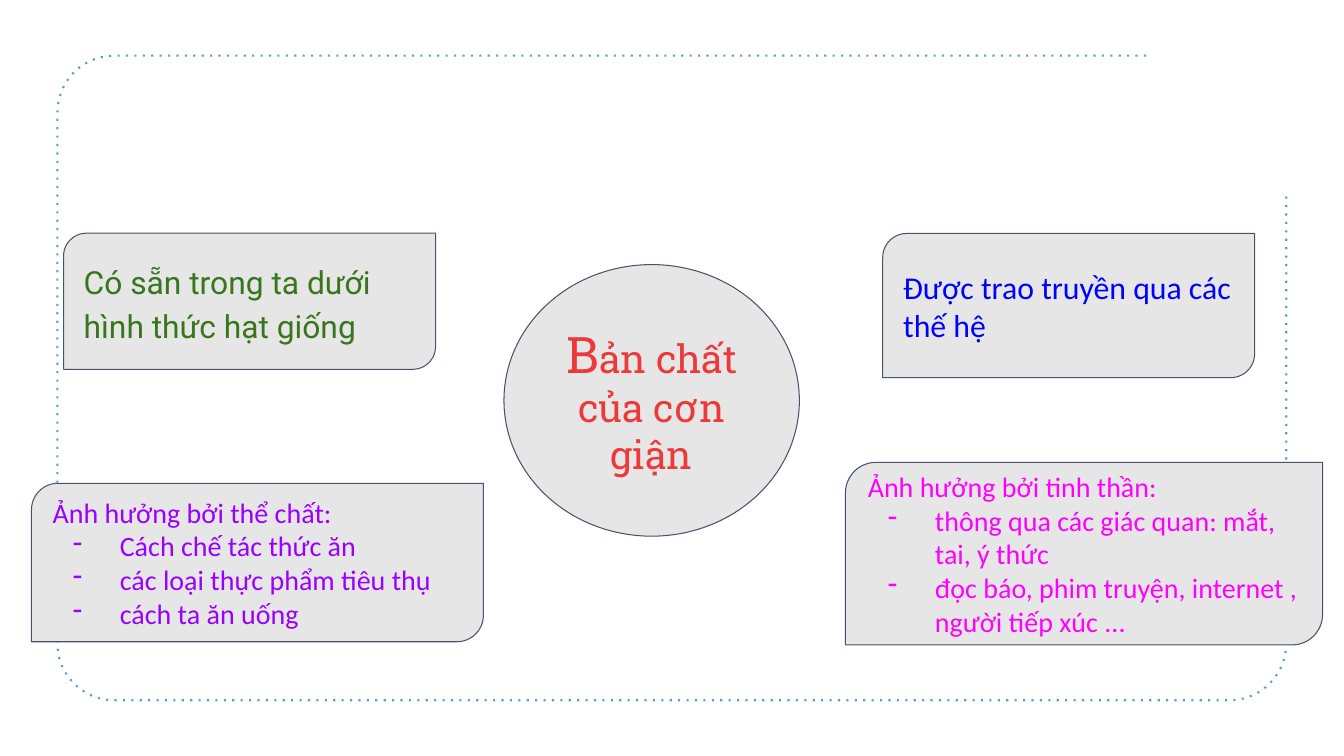
import math

import pptx
import pptx.dml.color
import pptx.enum.shapes
import pptx.enum.text
import pptx.oxml.ns
import pptx.util
from lxml import etree

Pt = pptx.util.Pt
RGB = pptx.dml.color.RGBColor
KIND = pptx.enum.shapes.MSO_SHAPE
ALIGN = pptx.enum.text.PP_ALIGN
qn = pptx.oxml.ns.qn

GREY = RGB(0xE7, 0xE6, 0xE6)
SLATE = RGB(0x44, 0x54, 0x6A)
SKY = RGB(0x5B, 0x9B, 0xD5)
RED = RGB(0xEC, 0x3A, 0x3B)
GREEN = RGB(0x38, 0x76, 0x1D)
BLUE = RGB(0x00, 0x00, 0xFF)
PURPLE = RGB(0x99, 0x00, 0xFF)
PINK = RGB(0xFF, 0x00, 0xFF)


def bend(x, y, radius, start):
    """Return points of a quarter turn that runs anticlockwise on screen."""
    angles = [math.radians(start + 7.5 * step) for step in range(13)]
    return [(Pt(x + radius * math.cos(a)), Pt(y - radius * math.sin(a))) for a in angles]


def add_frame(slide):
    """Draw the dotted outline that is open at its top right corner."""
    left, top, right, bottom, radius = 41, 39.8, 918.8, 500.2, 40.5
    points = bend(left + radius, top + radius, radius, 90)
    points += bend(left + radius, bottom - radius, radius, 180)
    points += bend(right - radius, bottom - radius, radius, 270)
    points.append((Pt(right), Pt(140.4)))
    pen = slide.shapes.build_freeform(Pt(818.6), Pt(top))
    pen.add_line_segments(points, close=False)
    frame = pen.convert_to_shape()
    frame.shadow.inherit = False
    frame.fill.background()
    frame.line.color.rgb = SKY
    frame.line.width = Pt(1.5)
    ln = frame._element.spPr.find(qn("a:ln"))
    etree.SubElement(ln, qn("a:prstDash"), val="dot")


def add_panel(slide, kind, box):
    """Add a grey outlined shape and return its text frame."""
    panel = slide.shapes.add_shape(kind, *map(Pt, box))
    panel.shadow.inherit = False
    panel.fill.solid()
    panel.fill.fore_color.rgb = GREY
    panel.line.color.rgb = SLATE
    panel.line.width = Pt(0.75)
    frame = panel.text_frame
    frame.word_wrap = True
    frame.vertical_anchor = pptx.enum.text.MSO_ANCHOR.MIDDLE
    frame.margin_left = frame.margin_right = Pt(9.6)
    frame.margin_top = frame.margin_bottom = Pt(9.6)
    return frame


def style(para, face, color, size=None):
    """Set the font of a paragraph."""
    para.font.name = face
    para.font.color.rgb = color
    if size:
        para.font.size = Pt(size)


def add_dash(para, color):
    """Give a paragraph a hanging dash bullet."""
    props = para._p.get_or_add_pPr()
    props.set("marL", str(Pt(48)))
    props.set("indent", str(Pt(-33.6)))
    tint = etree.SubElement(props, qn("a:buClr"))
    etree.SubElement(tint, qn("a:srgbClr"), val=str(color))
    etree.SubElement(props, qn("a:buChar"), char="-")


def add_card(slide, box, color, size, head, items=(), face="Calibri"):
    """Add a card with a heading and dashed items, and return its heading."""
    frame = add_panel(slide, KIND.ROUND_2_DIAG_RECTANGLE, box)
    first = frame.paragraphs[0]
    for index, text in enumerate([head, *items]):
        para = frame.add_paragraph() if index else first
        para.text = text
        para.alignment = ALIGN.LEFT
        if index:
            add_dash(para, color)
        style(para, face, color, size)
    return first


def add_hub(slide):
    """Add the central circle with its large initial letter."""
    para = add_panel(slide, KIND.OVAL, (360, 189, 211, 194)).paragraphs[0]
    para.alignment = ALIGN.CENTER
    for text, size in (("B", 36), ("ản chất của cơn giận", 28)):
        run = para.add_run()
        run.text = text
        run.font.size = Pt(size)
    style(para, "Roboto Slab", RED)


def main():
    """Build and save the slide."""
    deck = pptx.Presentation()
    deck.slide_width, deck.slide_height = Pt(960), Pt(540)
    slide = deck.slides.add_slide(deck.slide_layouts[6])
    add_frame(slide)
    add_hub(slide)
    seed = add_card(slide, (45.4, 166.6, 265.7, 97.2), GREEN, 22.7,
                    "Có sẵn trong ta dưới hình thức hạt giống", face="Roboto")
    seed.line_spacing = 1.15
    seed.space_after = Pt(16)
    add_card(slide, (630.5, 166.8, 265.7, 103), BLUE, 22.7,
             "Được trao truyền qua các thế hệ")
    add_card(slide, (22.5, 345.2, 322.8, 113.2), PURPLE, 20, "Ảnh hưởng bởi thể chất:",
             ("Cách chế tác thức ăn", "các loại thực phẩm tiêu thụ", "cách ta ăn uống"))
    add_card(slide, (603.9, 330.3, 340.8, 130.4), PINK, 20, "Ảnh hưởng bởi tinh thần:",
             ("thông qua các giác quan: mắt, tai, ý thức",
              "đọc báo, phim truyện, internet , người tiếp xúc ..."))
    deck.save("out.pptx")


if __name__ == "__main__":
    main()
